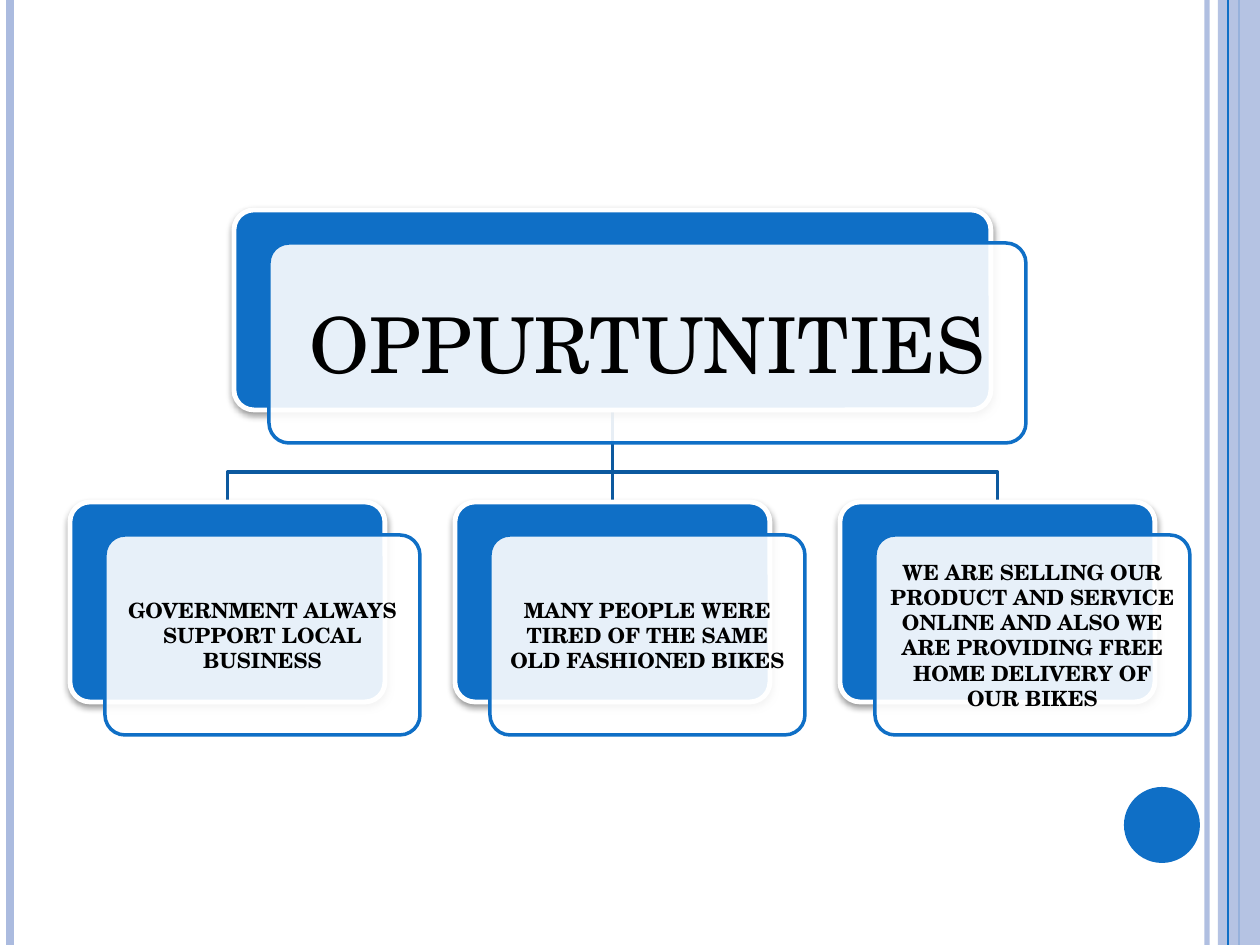
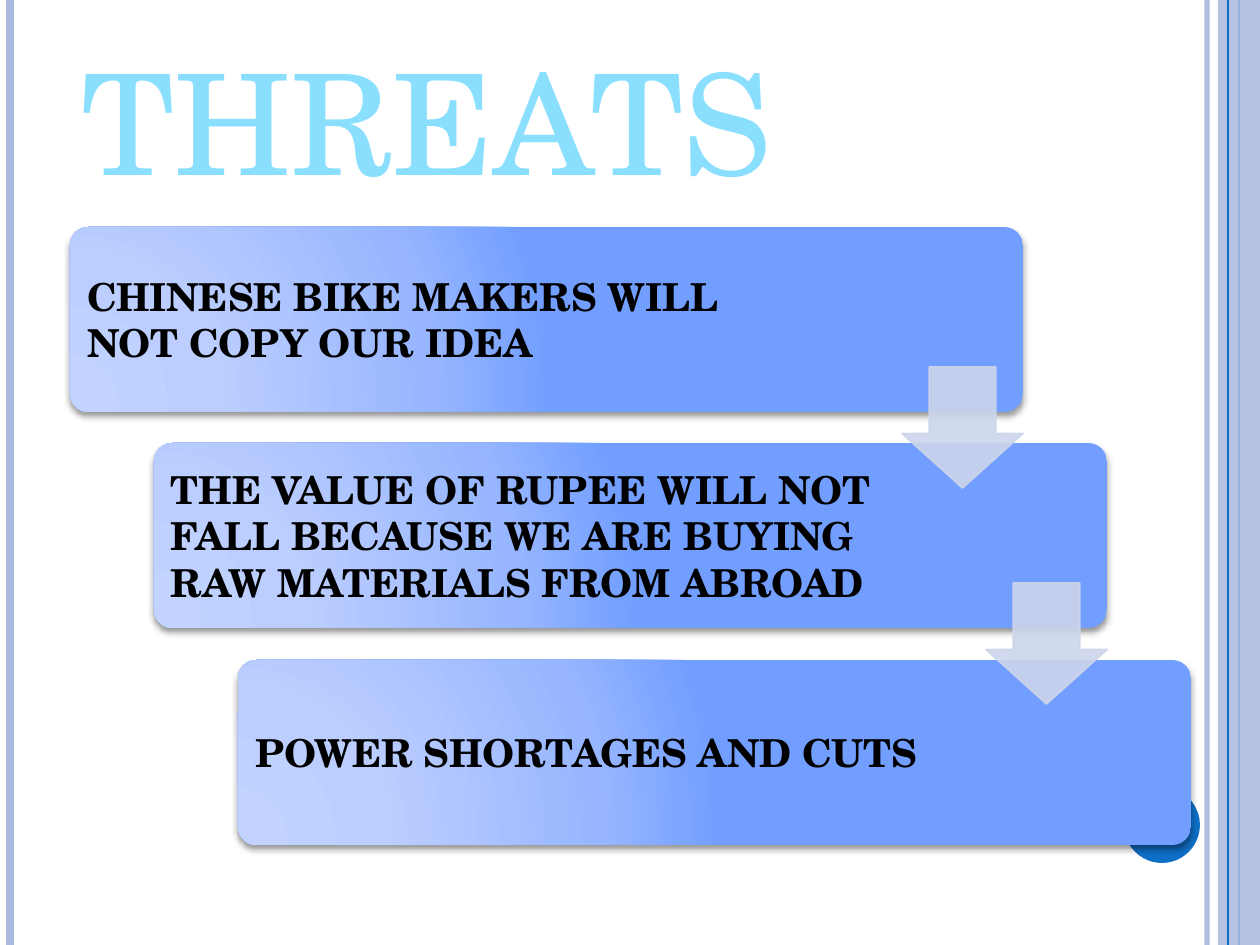
from dataclasses import dataclass

from lxml import etree
from pptx import Presentation
from pptx import util as u
from pptx.dml.color import RGBColor
from pptx.enum import shapes, text
from pptx.oxml import parse_xml
from pptx.oxml.ns import nsdecls, qn

PX = 914400 / 126  # EMU per pixel
WIDTH, HEIGHT = 1260, 945


@dataclass(frozen=True)
class Theme:
    font: str = "TeX Gyre Schola"
    ink: str = "000000"
    white: str = "FFFFFF"
    blue: str = "0F6FC6"
    band: str = "ABBBDF"
    branch: str = "0C599F"
    arrow: str = "CCD5EA"
    title: str = "8ADFFF"
    title_edge: str = "009DD9"
    step_stops: tuple = ((0, "C2D3FF"), (30, "BCCEFF"), (75, "97B6FF"), (100, "719EFF"))
    title_size: int = 80
    root_size: int = 44
    step_size: int = 22
    leaf_size: int = 12


T = Theme()


def px(n):
    return u.Emu(round(n * PX))


def rgb(color):
    return RGBColor.from_string(color)


# --- Formatting helpers ---

def fade(element, percent):
    """Make every colour under element partly transparent."""
    for clr in element.iter(qn("a:srgbClr")):
        etree.SubElement(clr, qn("a:alpha"), val=str(percent * 1000))


def set_line(sp, color, width, alpha=100):
    sp.line.color.rgb = rgb(color)
    sp.line.width = u.Pt(width)
    if alpha < 100:
        fade(sp._element.spPr.find(qn("a:ln")), alpha)


def add_shadow(sp):
    effects = sp._element.spPr.find(qn("a:effectLst"))
    effects.append(parse_xml(
        f'<a:outerShdw {nsdecls("a")} blurRad="{u.Pt(4)}" dist="{u.Pt(2)}" dir="5400000" '
        f'rotWithShape="0"><a:srgbClr val="{T.ink}"><a:alpha val="40000"/></a:srgbClr>'
        '</a:outerShdw>'))


def set_step_gradient(sp):
    stops = "".join(f'<a:gs pos="{pos * 1000}"><a:srgbClr val="{color}"/></a:gs>'
                    for pos, color in T.step_stops)
    grad = parse_xml(
        f'<a:gradFill {nsdecls("a")} rotWithShape="1"><a:gsLst>{stops}</a:gsLst>'
        '<a:path path="circle"><a:fillToRect l="5000" t="100000" r="120000" b="10000"/>'
        '</a:path></a:gradFill>')
    sp.fill.background()
    spPr = sp._element.spPr
    spPr.replace(spPr.find(qn("a:noFill")), grad)


# --- Element builders ---

def add_box(slide, kind, box, fill=None, alpha=100, adj=()):
    sp = slide.shapes.add_shape(kind, *map(px, box))
    sp.shadow.inherit = False
    sp.line.fill.background()
    for i, value in enumerate(adj):
        sp.adjustments[i] = value
    if fill:
        sp.fill.solid()
        sp.fill.fore_color.rgb = rgb(fill)
        if alpha < 100:
            fade(sp._element.spPr, alpha)
    return sp


def add_round(slide, box, fill=None, alpha=100):
    return add_box(slide, shapes.MSO_SHAPE.ROUNDED_RECTANGLE, box, fill, alpha, [0.1])


def add_line(slide, x1, y1, x2, y2, color, width, alpha=100):
    sp = slide.shapes.add_connector(shapes.MSO_CONNECTOR.STRAIGHT, *map(px, (x1, y1, x2, y2)))
    set_line(sp, color, width, alpha)
    etree.SubElement(sp._element.spPr, qn("a:effectLst"))


def add_text(slide, box, words, size, color=T.ink, bold=False, inset=None,
             align=text.PP_ALIGN.LEFT, anchor=text.MSO_ANCHOR.MIDDLE):
    tf = slide.shapes.add_textbox(*map(px, box)).text_frame
    tf.word_wrap = True
    tf.vertical_anchor = anchor
    if inset is not None:
        tf.margin_left = tf.margin_right = tf.margin_top = tf.margin_bottom = px(inset)
    p = tf.paragraphs[0]
    p.alignment = align
    p.font.name, p.font.size, p.font.bold = T.font, u.Pt(size), bold
    p.font.color.rgb = rgb(color)
    r = p.add_run()
    r.text = words
    return r


def add_elbow(slide, x1, y1, x2, y2, bend_y):
    """Draw a branch that turns sideways at bend_y."""
    builder = slide.shapes.build_freeform(px(x1), px(y1), scale=1.0)
    points = [(x1, bend_y), (x2, bend_y), (x2, y2)]
    builder.add_line_segments([(px(x), px(y)) for x, y in points], close=False)
    sp = builder.convert_to_shape()
    sp.shadow.inherit = False
    sp.fill.background()
    set_line(sp, T.branch, 2)


def add_card(slide, x, y, w, h, words, size, inset, bold):
    """Draw a blue plate with an offset translucent panel and its text."""
    plate = add_round(slide, (x, y, w, h), T.blue)
    set_line(plate, T.white, 2.75)
    add_shadow(plate)
    px_left, px_top = x + 35, y + 33
    panel = add_round(slide, (px_left, px_top, w, h), T.white, 90)
    set_line(panel, T.blue, 2)
    add_text(slide, (px_left + 6, px_top + 6, w - 12, h - 12), words, size,
             bold=bold, inset=inset, align=text.PP_ALIGN.CENTER)


def add_frame(prs):
    """Add a blank slide with the shared side bands and disc."""
    slide = prs.slides.add_slide(prs.slide_layouts[6])
    add_line(slide, 1207, 0, 1207, HEIGHT, T.band, 3, 93)
    add_line(slide, 10, 0, 10, HEIGHT, T.band, 4.5)
    add_line(slide, 1239, 0, 1239, HEIGHT, T.blue, 1.5)
    add_box(slide, shapes.MSO_SHAPE.RECTANGLE, (1218, 0, 42, HEIGHT), T.band, 87)
    add_line(slide, 1228, 0, 1228, HEIGHT, T.blue, 0.75)
    add_box(slide, shapes.MSO_SHAPE.OVAL, (1124, 787, 76, 76), T.blue)
    return slide


# --- Slides ---

def opportunities_slide(prs):
    slide = add_frame(prs)
    leaves = [
        "GOVERNMENT ALWAYS SUPPORT LOCAL BUSINESS",
        "MANY PEOPLE WERE TIRED OF THE SAME OLD FASHIONED BIKES",
        "WE ARE SELLING OUR PRODUCT AND SERVICE ONLINE AND ALSO WE ARE PROVIDING FREE "
        "HOME DELIVERY OF OUR BIKES",
    ]
    card_h, leaf_w, leaf_y = 200, 315, 502
    lefts = [70 + 385 * i for i in range(len(leaves))]
    root_y = 210
    trunk_y, bend_y = root_y + card_h, 472

    # Branches from the root to each leaf
    left, middle, right = (x + leaf_w / 2 for x in lefts)
    add_elbow(slide, middle, trunk_y, right, leaf_y, bend_y)
    add_line(slide, middle, trunk_y, middle, leaf_y, T.branch, 2)
    add_elbow(slide, middle, trunk_y, left, leaf_y, bend_y)

    # Root and leaves
    add_card(slide, 234, root_y, 757, card_h, "OPPURTUNITIES", T.root_size, 23, False)
    for x, words in zip(lefts, leaves):
        add_card(slide, x, leaf_y, leaf_w, card_h, words, T.leaf_size, 6, True)


def threats_slide(prs):
    slide = add_frame(prs)
    steps = [
        "CHINESE BIKE MAKERS WILL NOT COPY OUR IDEA",
        "THE VALUE OF RUPEE WILL NOT FALL BECAUSE WE ARE BUYING RAW MATERIALS FROM ABROAD",
        "POWER SHORTAGES AND CUTS",
    ]
    step_w, step_h, arrow = 953, 185, 121
    corners = [(70 + 84 * i, 227 + 433 * i // 2) for i in range(len(steps))]

    # Staggered steps
    for (x, y), words in zip(corners, steps):
        set_step = add_round(slide, (x, y, step_w, step_h))
        set_step_gradient(set_step)
        add_shadow(set_step)
        add_text(slide, (x + 6, y + 5, 736, step_h - 10), words, T.step_size,
                 bold=True, inset=11)

    # Arrows leading to the next step
    for x, y in corners[:-1]:
        sp = add_box(slide, shapes.MSO_SHAPE.DOWN_ARROW,
                     (x + step_w - arrow, y + 140, arrow, arrow), T.arrow, 90, [0.55, 0.45])
        set_line(sp, T.arrow, 1, 90)

    # Outlined title
    r = add_text(slide, (69, 29, 1022, 183), "THREATS", T.title_size, T.title,
                 anchor=text.MSO_ANCHOR.TOP)
    r._r.get_or_add_rPr().insert(0, parse_xml(
        f'<a:ln {nsdecls("a")} w="{u.Pt(1.75)}"><a:solidFill>'
        f'<a:srgbClr val="{T.title_edge}"/></a:solidFill></a:ln>'))


def main():
    prs = Presentation()
    prs.slide_width, prs.slide_height = px(WIDTH), px(HEIGHT)
    opportunities_slide(prs)
    threats_slide(prs)
    prs.save("out.pptx")


main()
